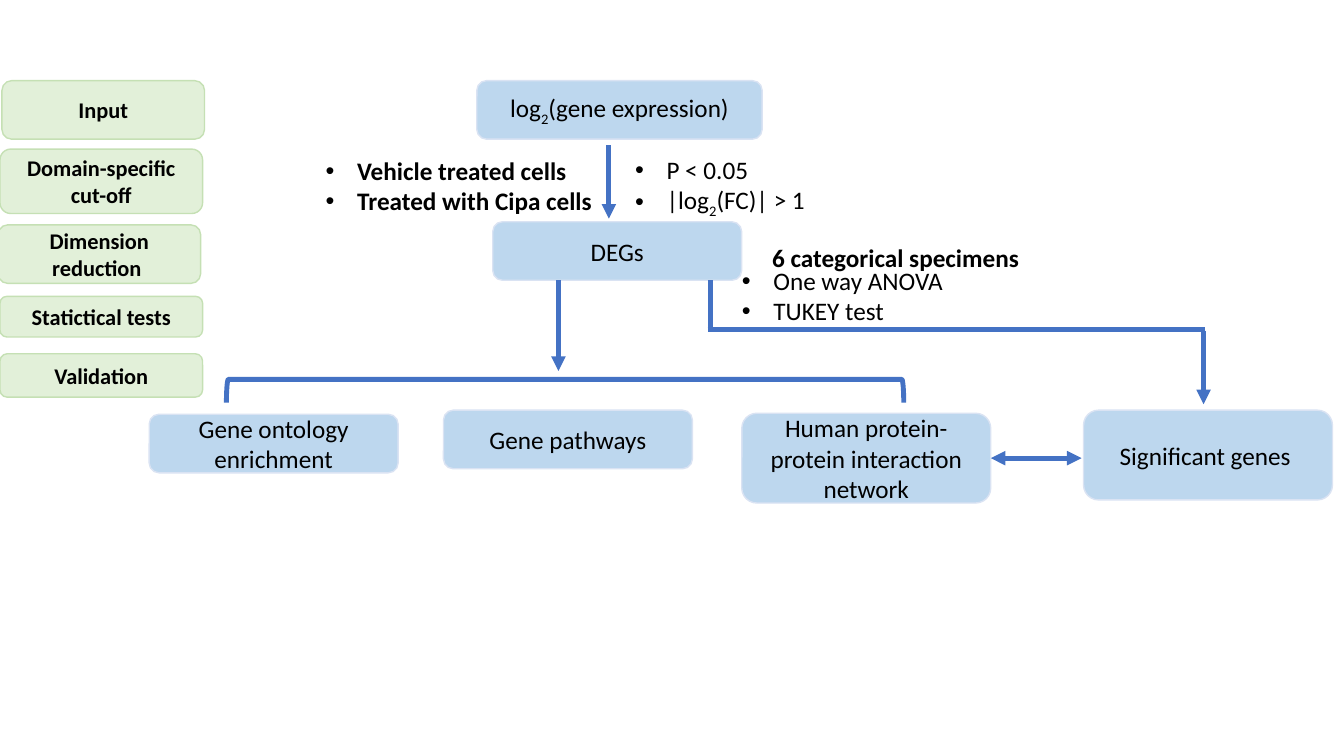
from dataclasses import dataclass
from typing import Any

from pptx import Presentation
from pptx.dml.color import RGBColor
from pptx.enum.shapes import MSO_CONNECTOR, MSO_SHAPE
from pptx.enum.text import MSO_ANCHOR, MSO_AUTO_SIZE, PP_ALIGN
from pptx.oxml.ns import qn
from pptx.shapes.autoshape import Shape
from pptx.shapes.connector import Connector
from pptx.slide import Slide
from pptx.util import Pt
from lxml.etree import SubElement


@dataclass(frozen=True)
class Theme:
    font: str = "Calibri"
    bullet_font: str = "Arial"
    ink: RGBColor = RGBColor(0x00, 0x00, 0x00)
    step_fill: RGBColor = RGBColor(0xBD, 0xD7, 0xEE)
    step_edge: RGBColor = RGBColor(0xDA, 0xE3, 0xF3)
    stage_fill: RGBColor = RGBColor(0xE2, 0xF0, 0xD9)
    stage_edge: RGBColor = RGBColor(0xC5, 0xE0, 0xB4)
    flow: RGBColor = RGBColor(0x44, 0x72, 0xC4)
    step_size: float = 18
    stage_size: float = 16
    edge_width: float = 1
    flow_width: float = 3.5
    bullet_indent: float = 22.5


@dataclass(frozen=True)
class Span:
    text: str
    subscript: bool = False


Line = tuple[Span, ...]


@dataclass(frozen=True)
class Node:
    left: float
    top: float
    width: float
    height: float
    label: Line


@dataclass(frozen=True)
class Note:
    placeholder: int
    left: float
    top: float
    width: float
    height: float
    lines: tuple[Line, ...]
    bold: bool = False
    bulleted: bool = True


@dataclass(frozen=True)
class Flow:
    start: tuple[float, float]
    end: tuple[float, float]
    head: bool = False
    tail: bool = True


THEME = Theme()
STAGE_WIDTH = 144.7
STEP_WIDTH = 177.8
LOW, HIGH = 41.8, 64.1


def plain(text: str) -> Line:
    return (Span(text),)


STAGES = (
    Node(1.4, 57.6, STAGE_WIDTH, LOW, plain("Input")),
    Node(0, 106.5, STAGE_WIDTH, 46, plain("Domain-specific cut-off")),
    Node(-1.4, 160.6, STAGE_WIDTH, LOW, plain("Dimension reduction ")),
    Node(0, 211.7, STAGE_WIDTH, 29, plain("Statictical tests")),
    Node(0, 252.7, STAGE_WIDTH, 31, plain("Validation")),
)

NETWORK = Node(529.9, 295.2, STEP_WIDTH, HIGH,
               plain("Human protein-protein interaction network"))
STEPS = (
    Node(340.6, 57.6, 203.8, LOW,
         (Span("log"), Span("2", True), Span("(gene expression)"))),
    Node(352, 158.4, STEP_WIDTH, LOW, plain("DEGs")),
    Node(106.6, 295.9, STEP_WIDTH, LOW, plain("Gene ontology enrichment")),
    NETWORK,
    Node(316.8, 293, STEP_WIDTH, LOW, plain("Gene pathways")),
    Node(774, 293, STEP_WIDTH, HIGH, plain("Significant genes ")),
)

NOTES = (
    Note(1, 544.3, 169.2, 192, 29, (plain("6 categorical specimens"),), True, False),
    Note(2, 446.4, 106.6, 138, 51,
         (plain("P < 0.05"), (Span("|log"), Span("2", True), Span("(FC)| > 1")))),
    Note(3, 225.4, 107.3, 206, 51,
         (plain("Vehicle treated cells"), plain("Treated with Cipa cells")), True),
    Note(4, 522.7, 185.8, 160, 73, (plain("One way ANOVA"), plain("TUKEY test"))),
)

FLOWS = (
    Flow((434.9, 103.7), (434.9, 156.2)),
    Flow((398.9, 200.2), (398.9, 265)),
    Flow((507.6, 200.2), (507.6, 236.2), tail=False),
    Flow((505.5, 235.5), (860.4, 235.5), tail=False),
    Flow((859.7, 236.2), (859.7, 288.7)),
)


def apply(target: Any, values: dict[str, Any]) -> None:
    for name, value in values.items():
        setattr(target, name, value)


def write(box: Shape, lines: tuple[Line, ...], size: float, bold: bool,
          frame_format: dict[str, Any], para_format: dict[str, Any]) -> None:
    frame = box.text_frame
    apply(frame, frame_format)
    for index, line in enumerate(lines):
        para = frame.add_paragraph() if index else frame.paragraphs[0]
        apply(para, para_format)
        for span in line:
            run = para.add_run()
            run.text = span.text
            apply(run.font, {"name": THEME.font, "size": Pt(size), "bold": bold})
            run.font.color.rgb = THEME.ink
            if span.subscript:
                run.font._element.set("baseline", "-25000")


def draw_node(page: Slide, node: Node, fill: RGBColor, edge: RGBColor,
              size: float, bold: bool) -> Shape:
    box = page.shapes.add_shape(
        MSO_SHAPE.ROUNDED_RECTANGLE,
        Pt(node.left), Pt(node.top), Pt(node.width), Pt(node.height))
    box.shadow.inherit = False
    box.fill.solid()
    box.fill.fore_color.rgb = fill
    box.line.color.rgb = edge
    box.line.width = Pt(THEME.edge_width)
    write(box, (node.label,), size, bold,
          {"word_wrap": True, "vertical_anchor": MSO_ANCHOR.MIDDLE},
          {"alignment": PP_ALIGN.CENTER})
    return box


def draw_note(page: Slide, note: Note) -> None:
    box = page.placeholders[note.placeholder]
    apply(box, {"left": Pt(note.left), "top": Pt(note.top),
                "width": Pt(note.width), "height": Pt(note.height)})
    write(box, note.lines, THEME.step_size, note.bold,
          {"word_wrap": False, "auto_size": MSO_AUTO_SIZE.NONE,
           "vertical_anchor": MSO_ANCHOR.TOP},
          {"alignment": PP_ALIGN.LEFT, "space_before": Pt(0), "line_spacing": 1.0})
    indent = Pt(THEME.bullet_indent) if note.bulleted else 0
    for para in box.text_frame.paragraphs:
        properties = para._p.get_or_add_pPr()
        properties.set("marL", str(indent))
        properties.set("indent", str(-indent))
        if note.bulleted:
            SubElement(properties, qn("a:buFont"), typeface=THEME.bullet_font)
            SubElement(properties, qn("a:buChar"), char="•")
        else:
            SubElement(properties, qn("a:buNone"))


def draw_flow(page: Slide, flow: Flow) -> Connector:
    points = (Pt(value) for value in flow.start + flow.end)
    connector = page.shapes.add_connector(MSO_CONNECTOR.STRAIGHT, *points)
    connector.line.color.rgb = THEME.flow
    connector.line.width = Pt(THEME.flow_width)
    outline = connector.line._get_or_add_ln()
    for tag, shown in (("a:headEnd", flow.head), ("a:tailEnd", flow.tail)):
        if shown:
            SubElement(outline, qn(tag), type="triangle")
    SubElement(connector._element.spPr, qn("a:effectLst"))
    return connector


def draw_bracket(page: Slide) -> None:
    bracket = page.shapes.add_shape(
        MSO_SHAPE.LEFT_BRACKET, Pt(395.3), Pt(37.4), Pt(16.6), Pt(483.8))
    bracket.rotation = 90
    bracket.shadow.inherit = False
    bracket.fill.background()
    bracket.line.color.rgb = THEME.flow
    bracket.line.width = Pt(THEME.flow_width)


def main() -> None:
    deck = Presentation()
    apply(deck, {"slide_width": Pt(960), "slide_height": Pt(540)})
    page = deck.slides.add_slide(deck.slide_layouts.get_by_name("Comparison"))
    title = page.shapes.title._element
    title.getparent().remove(title)
    for note in NOTES:
        draw_note(page, note)
    boxes = {node: draw_node(page, node, THEME.step_fill, THEME.step_edge,
                             THEME.step_size, False) for node in STEPS}
    for node in STAGES:
        draw_node(page, node, THEME.stage_fill, THEME.stage_edge, THEME.stage_size, True)
    draw_bracket(page)
    for flow in FLOWS:
        draw_flow(page, flow)
    middle = NETWORK.top + NETWORK.height / 2
    exchange = draw_flow(page, Flow((707.7, middle), (772.6, middle), head=True))
    exchange.begin_connect(boxes[NETWORK], 3)
    deck.save("out.pptx")


if __name__ == "__main__":
    main()
